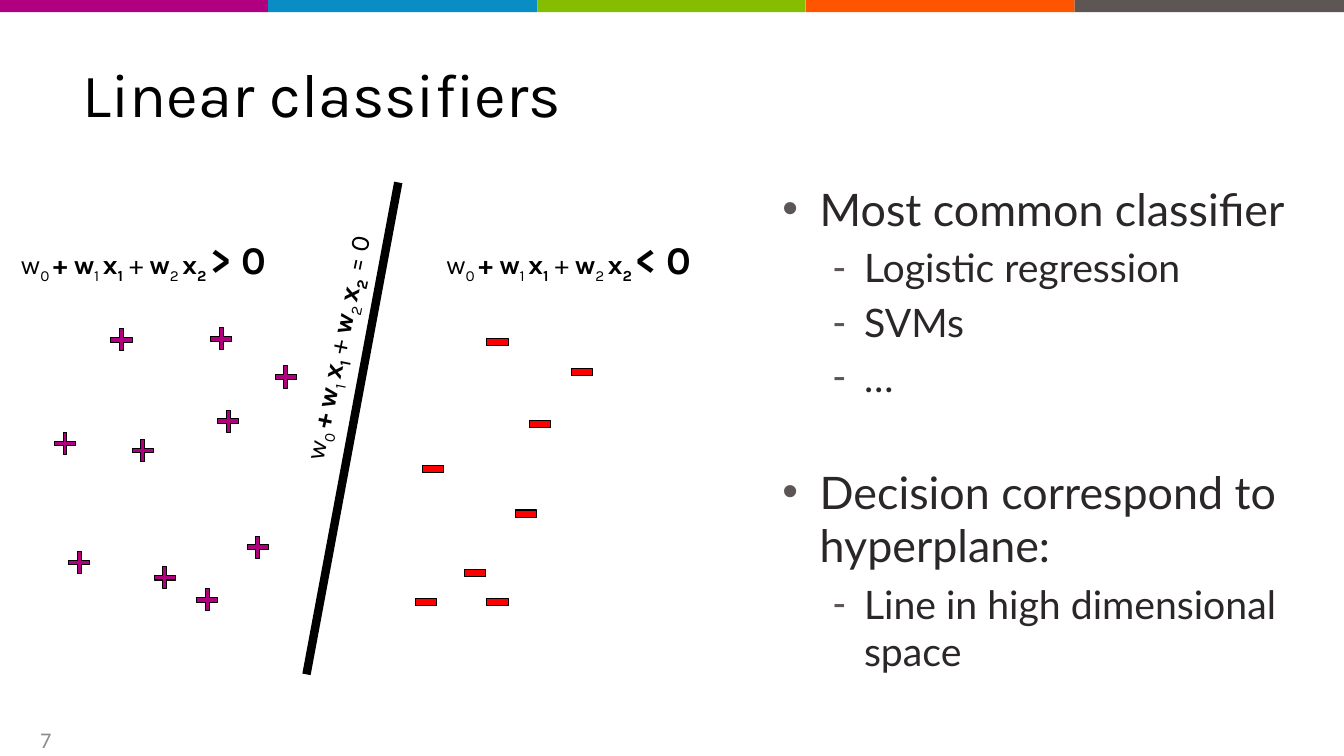
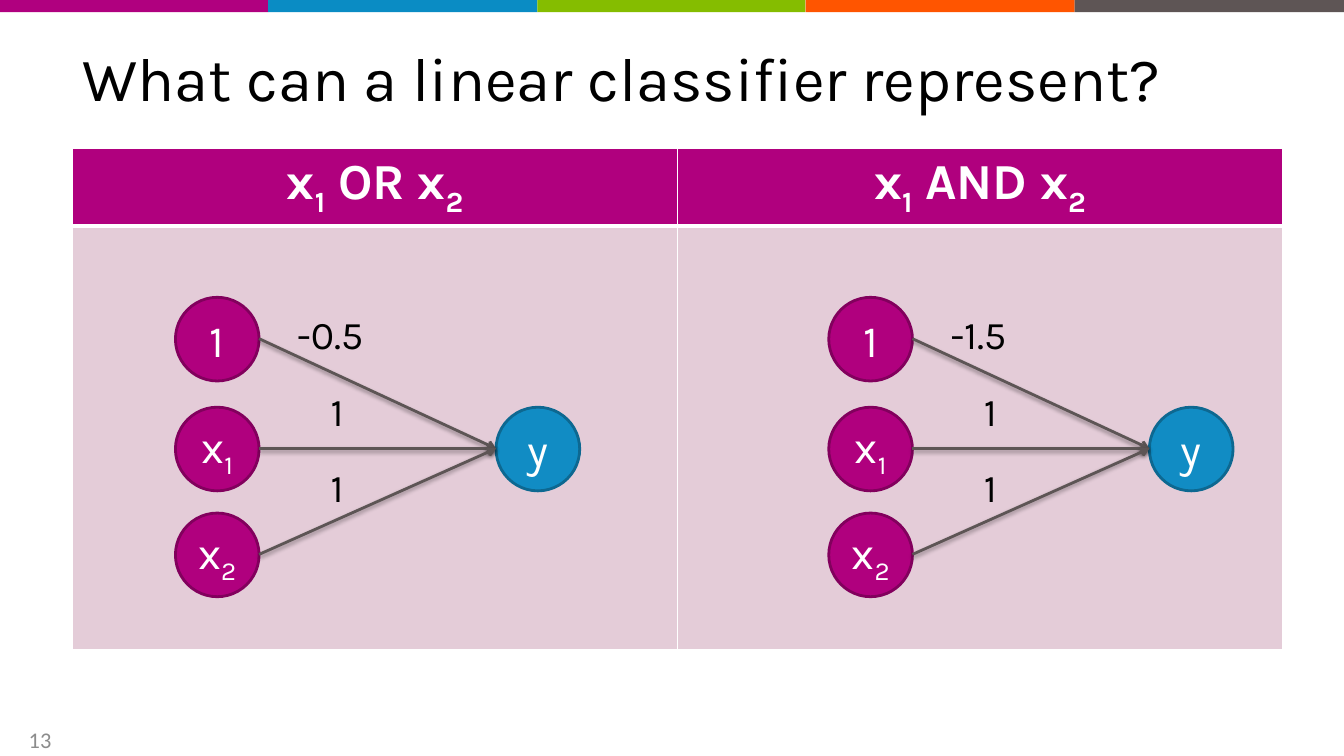
"""Build two slides on linear classifiers."""
from dataclasses import dataclass

from lxml import etree
from pptx import Presentation
from pptx import util as u
from pptx.dml import color
from pptx.enum import shapes, text
from pptx.oxml import ns


@dataclass(frozen=True)
class Theme:
    """Colours, fonts and type sizes of the deck."""
    bands: tuple = ("B0007F", "0A8CC4", "85BD00", "FF5500", "5E5555")
    black: str = "000000"
    white: str = "FFFFFF"
    ink: str = "2B2728"
    grey: str = "5D5555"
    number: str = "8C8C8C"
    magenta: str = "B0007E"
    magenta_edge: str = "82005D"
    blue: str = "118CC4"
    blue_edge: str = "0D6891"
    red: str = "FF0000"
    pink: str = "E4CCD8"
    display: str = "Karla"
    body: str = "Lato"
    small: str = "Calibri"
    title_pt: int = 44
    header_pt: int = 36
    node_pt: int = 32
    label_pt: int = 28
    formula_pt: int = 19
    number_pt: int = 16
    levels: tuple = ((32, 37, -37, "•", 6.4), (28, 81, -31, "-", 5.6))


T = Theme()
W, H = 1333, 750
NODE = 83

FORMULA = [("w", ""), ("0 ", "s"), ("+ w", "b"), ("1 ", "s"), ("x", "b"), ("1", "bs"),
           (" + ", ""), ("w", "b"), ("2 ", "s"), ("x", "b")]
BULLETS = [(0, "Most common classifier", 0), (1, "Logistic regression", None),
           (1, "SVMs", None), (1, "…", None),
           (0, "Decision correspond to hyperplane:", 46),
           (1, "Line in high dimensional space", None)]
PLUSES = [(209, 325), (216, 407), (131, 436), (153, 562), (68, 547),
          (273, 363), (195, 584), (245, 532), (110, 326), (54, 429)]
MINUSES = [(483, 336), (419, 462), (525, 417), (511, 506),
           (461, 565), (483, 594), (412, 594), (567, 366)]
INPUTS = [(295, [("1", "")]), (404, [("x", ""), ("1", "s")]), (509, [("x", ""), ("2", "s")])]


def px(n):
    """Turn px into EMU."""
    return u.Emu(n * 9144)


def rgb(value):
    """Return a colour from its hex value."""
    return color.RGBColor.from_string(value)


def put(obj, **values):
    """Set each named attribute of an object."""
    for name, value in values.items():
        setattr(obj, name, value)


def place(sp, x, y, w, h):
    """Move and size a shape."""
    put(sp, left=px(x), top=px(y), width=px(w), height=px(h))


def sub(parent, tag, **attrs):
    """Append a DrawingML child."""
    return etree.SubElement(parent, ns.qn(f"a:{tag}"), attrs)


def write(p, runs, size, ink, font=T.display):
    """Add runs; style b is bold and s is subscript."""
    for words, style, *own in runs:
        r = p.add_run()
        put(r, text=words)
        put(r.font, name=font, size=u.Pt(own[0] if own else size), bold="b" in style)
        r.font.color.rgb = rgb(ink)
        if "s" in style:
            r.font._element.set("baseline", "-25000")


def add_shape(s, kind, box, fill, edge=None, pt=0.75):
    """Add a filled preset shape."""
    sp = s.shapes.add_shape(kind, *map(px, box))
    sp.shadow.inherit = False
    sp.fill.solid()
    sp.fill.fore_color.rgb = rgb(fill)
    if edge:
        sp.line.color.rgb = rgb(edge)
        sp.line.width = u.Pt(pt)
    else:
        sp.line.fill.background()
    return sp


def add_label(s, box, runs, size, turn=0):
    """Add a one-line text box."""
    sp = s.shapes.add_textbox(*map(px, box))
    sp.rotation = turn
    tf = sp.text_frame
    put(tf, word_wrap=False, auto_size=text.MSO_AUTO_SIZE.SHAPE_TO_FIT_TEXT)
    write(tf.paragraphs[0], runs, size, T.black)


def add_line(s, ends, ink, pt, arrow=False):
    """Add a straight line, or a softly shadowed arrow."""
    c = s.shapes.add_connector(shapes.MSO_CONNECTOR.STRAIGHT, *map(px, ends))
    c.line.color.rgb = rgb(ink)
    c.line.width = u.Pt(pt)
    effects = sub(c.element.spPr, "effectLst")
    if arrow:
        sub(c.get_or_add_ln(), "tailEnd", type="arrow")
        shadow = sub(effects, "outerShdw", blurRad="40000", dist="20000",
                     dir="5400000", rotWithShape="0")
        sub(sub(shadow, "srgbClr", val=T.black), "alpha", val="38000")


def add_node(s, x, y, runs, fill, edge):
    """Add a network node with its name."""
    sp = add_shape(s, shapes.MSO_SHAPE.OVAL, (x, y, NODE, NODE), fill, edge, 2)
    tf = sp.text_frame
    put(tf, word_wrap=False, vertical_anchor=text.MSO_ANCHOR.MIDDLE)
    p = tf.paragraphs[0]
    p.alignment = text.PP_ALIGN.CENTER
    write(p, runs, T.node_pt, T.white)


def add_bands(prs, s):
    """Draw the colour bands and move them to the master."""
    count = len(T.bands)
    for i, fill in enumerate(T.bands):
        left, right = W * i // count, W * (i + 1) // count
        sp = add_shape(s, shapes.MSO_SHAPE.RECTANGLE, (left, 0, right - left, 12), fill)
        prs.slide_master.shapes.element.append(sp.element)


def add_slide(prs, layout, title, top, number):
    """Add a slide with its title and number."""
    s = prs.slides.add_slide(prs.slide_layouts[layout])
    sp = s.shapes.title
    place(sp, 72, top, 1200, 125)
    put(sp.text_frame, vertical_anchor=text.MSO_ANCHOR.MIDDLE, auto_size=text.MSO_AUTO_SIZE.NONE)
    p = sp.text_frame.paragraphs[0]
    p.alignment = text.PP_ALIGN.LEFT
    write(p, [(title, "")], T.title_pt, T.black)
    for ph in s.slide_layout.placeholders:
        if ph.placeholder_format.type == shapes.PP_PLACEHOLDER.SLIDE_NUMBER:
            s.shapes.clone_placeholder(ph)
            sp = s.placeholders[ph.placeholder_format.idx]
    place(sp, 0, 718, 61, 32)
    sp.text_frame.vertical_anchor = text.MSO_ANCHOR.MIDDLE
    p = sp.text_frame.paragraphs[0]
    p.alignment = text.PP_ALIGN.RIGHT
    write(p, [(number, "")], T.number_pt, T.number, T.small)
    return s


def add_bullets(s, box, items):
    """Fill the body placeholder with a two-level list."""
    sp = s.placeholders[1]
    place(sp, *box)
    tf = sp.text_frame
    tf.auto_size = text.MSO_AUTO_SIZE.NONE
    for i, (level, words, gap) in enumerate(items):
        p = tf.add_paragraph() if i else tf.paragraphs[0]
        size, margin, indent, mark, before = T.levels[level]
        put(p, level=level, space_before=u.Pt(before if gap is None else gap))
        pr = p._p.get_or_add_pPr()
        pr.set("marL", str(px(margin)))
        pr.set("indent", str(px(indent)))
        sub(sub(pr, "buClr"), "srgbClr", val=T.grey)
        sub(pr, "buChar", char=mark)
        write(p, [(words, "")], size, T.ink, T.body)


def style_cell(cell, fill, top, bottom):
    """Fill a cell and rule it in white."""
    pr = cell._tc.get_or_add_tcPr()
    for side, pt in zip("LRTB", (1, 1, top, bottom)):
        ln = sub(pr, f"ln{side}", w=str(u.Pt(pt)))
        sub(sub(ln, "solidFill"), "srgbClr", val=T.white)
    cell.fill.solid()
    cell.fill.fore_color.rgb = rgb(fill)


def add_columns(s, words):
    """Add the table with one heading per network."""
    heights = (77, 420)
    frame = s.shapes.add_table(2, len(words), *map(px, (72, 147, 1200, sum(heights))))
    table = frame.table
    for row, height in zip(table.rows, heights):
        row.height = px(height)
    for i, word in enumerate(words):
        style_cell(table.cell(0, i), T.magenta, 1, 3)
        style_cell(table.cell(1, i), T.pink, 3, 1)
        p = table.cell(0, i).text_frame.paragraphs[0]
        p.alignment = text.PP_ALIGN.CENTER
        runs = [("x", "b"), ("1", "bs"), (f" {word} x", "b"), ("2", "bs")]
        write(p, runs, T.header_pt, T.white)


def add_network(s, x, bias, bias_width):
    """Add three inputs, their weights and one output."""
    out_x, out_y, half = x + 318, 404, NODE // 2
    for y, runs in INPUTS:
        add_node(s, x, y, runs, T.magenta, T.magenta_edge)
    add_node(s, out_x, out_y, [("y", "")], T.blue, T.blue_edge)
    for y, runs in INPUTS:
        add_line(s, (x + NODE, y + half, out_x, out_y + half), T.grey, 2, True)
    weights = ((bias, 111, bias_width), ("1", 144, 38), ("1", 144, 38))
    for i, (weight, dx, width) in enumerate(weights):
        add_label(s, (x + dx, 303 + 76 * i, width, 57), [(weight, "")], T.label_pt)


def classifier_slide(prs):
    """Build the slide of separated points."""
    s = add_slide(prs, 1, "Linear classifiers", 30, "7")
    add_bands(prs, s)
    add_bullets(s, (766, 175, 552, 495), BULLETS)
    for x, y in PLUSES:
        sp = add_shape(s, shapes.MSO_SHAPE.CROSS, (x, y, 21, 22), T.magenta, T.black)
        sp.adjustments[0] = 0.41
    for x, y in MINUSES:
        add_shape(s, shapes.MSO_SHAPE.RECTANGLE, (x, y, 21, 7), T.red, T.black)
    add_line(s, (304, 669, 395, 181), T.black, 6)
    add_label(s, (196, 305, 284, 42), FORMULA + [("2", "bs"), (" = 0", "")], T.formula_pt, 281.9)
    for x, sign in ((11, ">"), (433, "<")):
        runs = FORMULA + [("2 ", "bs"), (f"{sign} 0", "b", T.label_pt)]
        add_label(s, (x, 229, 299, 57), runs, T.formula_pt)


def network_slide(prs):
    """Build the slide of logic networks."""
    s = add_slide(prs, 5, "What can a linear classifier represent?", 14, "13")
    add_columns(s, ("OR", "AND"))
    for x, bias, width in ((174, "-0.5", 90), (822, "-1.5", 83)):
        add_network(s, x, bias, width)


def main():
    """Build and save the deck."""
    prs = Presentation()
    put(prs, slide_width=px(W), slide_height=px(H))
    classifier_slide(prs)
    network_slide(prs)
    prs.save("out.pptx")


if __name__ == "__main__":
    main()
